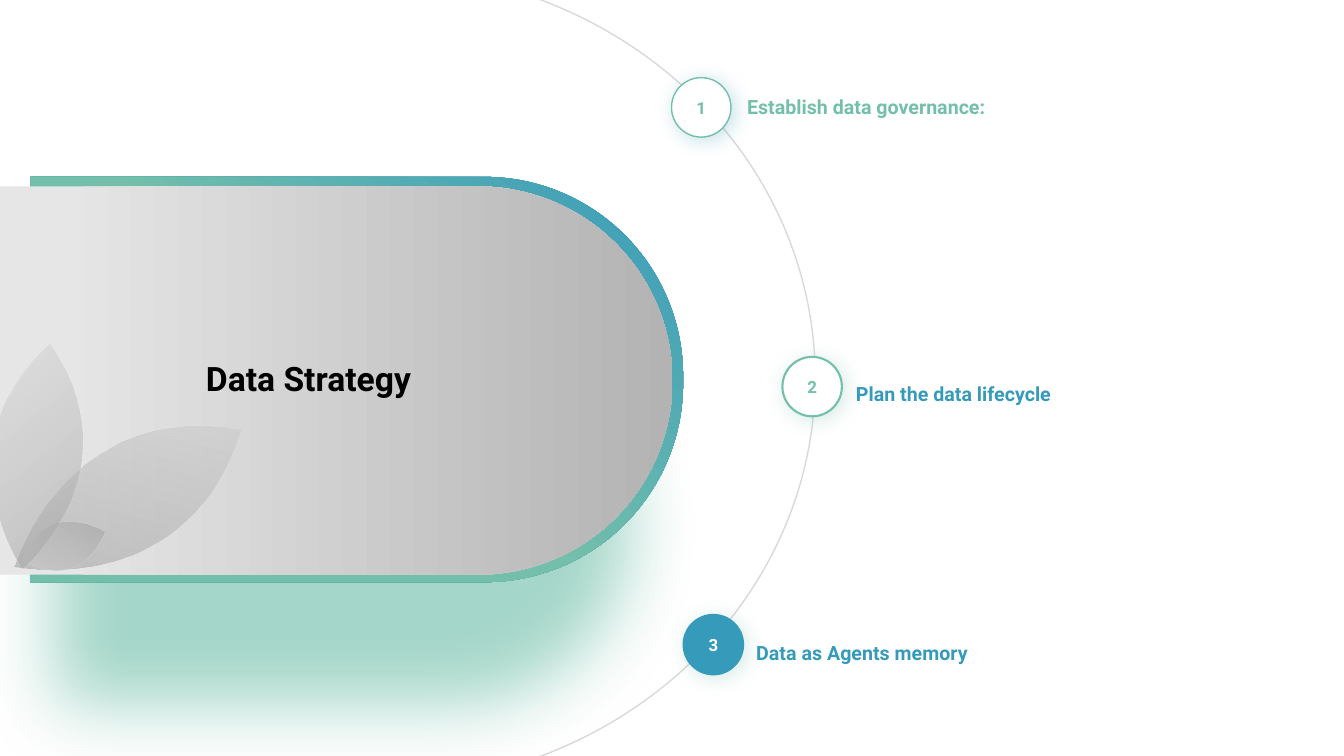
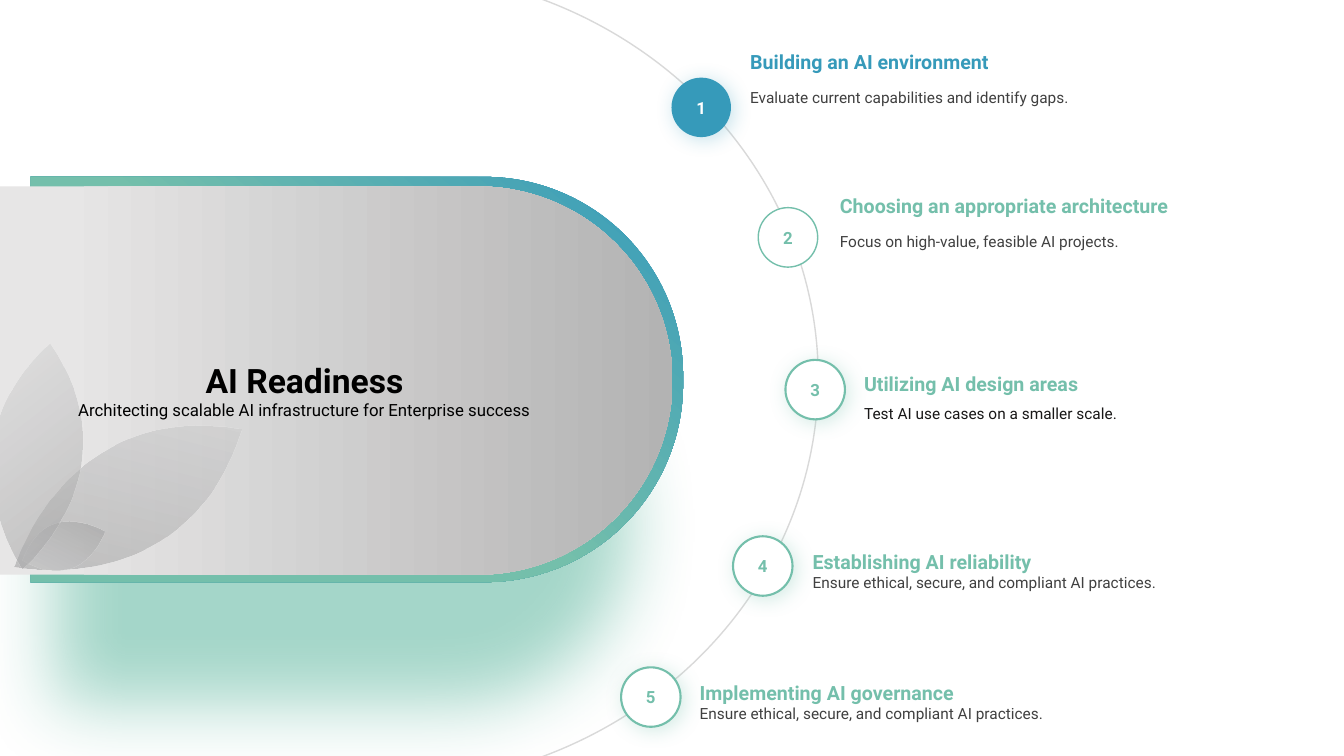
"""Build two agenda slides: a pill-shaped title hub with numbered steps along an arc."""
import math

import pptx
import pptx.dml.color
import pptx.enum.shapes
import pptx.enum.text
import pptx.oxml
import pptx.oxml.ns
import pptx.util

Inches, Pt = pptx.util.Inches, pptx.util.Pt
RGB = pptx.dml.color.RGBColor.from_string
Shape = pptx.enum.shapes.MSO_SHAPE
Text = pptx.enum.text
space = pptx.oxml.ns.nsdecls("a")

theme = {
    "font": "Roboto", "blue": "369ABA", "green": "74BFAB", "white": "FFFFFF",
    "black": "000000", "body": "404040", "ink": "181717", "track": "D9D9D9",
    "glow": "1D9A78", "pill": ("E7E6E6", "B3B3B3"), "leaf": ("9F9FA0", "D5D5D5"),
    "title": 24, "head": 14, "small": 11, "badge": 12, "sub": 12,
}
dot = 0.59
leaves = [
    ((0.75, 3.63, 1.04, 2.63), 238.9, (63, 58),
     [(0.14, 5.62), (0.14, 5.62), (0.64, 3.96), (2.4, 4.26),
      (1.88, 5.89), (0.31, 5.65), (0.14, 5.62)]),
    ((0.4, 4.98, 0.47, 0.86), 71.1, (69, 58),
     [(1.04, 5.27), (1.04, 5.27), (0.81, 5.9), (0.22, 5.55),
      (0.46, 4.94), (0.98, 5.24), (1.04, 5.27)]),
    ((-0.09, 3.4, 0.89, 2.25), 186.9, (58, 40),
     [(0.22, 5.64), (0.22, 5.64), (-0.63, 4.43), (0.49, 3.41),
      (1.32, 4.62), (0.33, 5.54), (0.22, 5.64)]),
]
pages = [
    {
        "arc": -0.31, "box": (1.03, 3.52, 4.06, 0.46),
        "title": ["Data Strategy"],
        "steps": [
            {"at": (6.66, 0.77), "line": 1, "glow": ("blue", 28), "tint": "green",
             "head": (7.35, 0.84, 5.1, "Establish data governance:")},
            {"at": (7.76, 3.54), "line": 1.5, "glow": ("green", 30), "tint": "blue",
             "head": (8.43, 3.68, 4.8, "Plan the data lifecycle")},
            {"at": (6.78, 6.1), "line": 1.5, "glow": ("green", 30), "tint": "blue",
             "solid": True, "head": (7.44, 6.25, 4.92, "Data as Agents memory")},
        ],
    },
    {
        "arc": -0.28, "box": (0.24, 3.54, 5.56, 0.66),
        "title": ["AI Readiness",
                  "Architecting scalable AI infrastructure for Enterprise success"],
        "steps": [
            {"at": (6.66, 0.77), "line": 0, "glow": ("blue", 28), "tint": "blue",
             "solid": True, "head": (7.38, 0.39, 4.5, "Building an AI environment"),
             "body": (0.81, 3.7, "Evaluate current capabilities and identify gaps.", "body")},
            {"at": (7.52, 2.06), "line": 1, "tint": "green",
             "head": (8.27, 1.82, 3.5, "Choosing an appropriate architecture"),
             "body": (2.24, 3.83, "Focus on high-value, feasible AI projects.", "body")},
            {"at": (7.79, 3.57), "line": 1.5, "glow": ("green", 30), "tint": "green",
             "head": (8.51, 3.58, 4.8, "Utilizing AI design areas"),
             "body": (3.95, 4.62, "Test AI use cases on a smaller scale.", "ink")},
            {"at": (7.27, 5.32), "line": 1.5, "glow": ("green", 30), "tint": "green",
             "head": (8, 5.35, 4.2, "Establishing AI reliability"),
             "body": (5.63, 4.8, "Ensure ethical, secure, and compliant AI practices.", "body")},
            {"at": (6.16, 6.62), "line": 1.5, "glow": ("green", 30), "tint": "green",
             "head": (6.88, 6.65, 4.2, "Implementing AI governance"),
             "body": (6.93, 4.8, "Ensure ethical, secure, and compliant AI practices.", "body")},
        ],
    },
]


def paint(shape, fill=None, line=None, width=0, glow=None, fade=None, angle=0):
    """Set fill, outline and shadow; fill is a colour or (colour, position) stops."""
    shape.shadow.inherit = False
    if fill is None:
        shape.fill.background()
    elif isinstance(fill, str):
        shape.fill.solid()
        shape.fill.fore_color.rgb = RGB(fill)
    else:
        shape.fill.gradient()
        shape.fill.gradient_angle = 360 - angle
        for stop, (tone, spot) in zip(shape.fill.gradient_stops, fill):
            stop.color.rgb = RGB(tone)
            stop.position = spot
    if fade:
        tones = shape.element.spPr.xpath("./a:gradFill/a:gsLst/a:gs/a:srgbClr")
        for tone, part in zip(tones, fade):
            tone.append(pptx.oxml.parse_xml(f'<a:alpha {space} val="{part * 1000}"/>'))
    if width:
        shape.line.color.rgb = RGB(line)
        shape.line.width = Pt(width)
    else:
        shape.line.fill.background()
    if glow:
        tone, part, blur, dist, turn, scale = glow
        shape.element.spPr.xpath("./a:effectLst")[0].append(pptx.oxml.parse_xml(
            f'<a:outerShdw {space} blurRad="{Pt(blur)}" dist="{Pt(dist)}" '
            f'dir="{turn * 60000}" sx="{scale * 1000}" sy="{scale * 1000}" '
            f'algn="b" rotWithShape="0"><a:srgbClr val="{tone}">'
            f'<a:alpha val="{part * 1000}"/></a:srgbClr></a:outerShdw>'))


def write(slide, spot, rows, inset, gap=None, align=None):
    """Add a text box whose rows are (text, size, colour, bold)."""
    frame = slide.shapes.add_textbox(*map(Inches, spot)).text_frame
    frame.word_wrap = True
    frame.auto_size = Text.MSO_AUTO_SIZE.SHAPE_TO_FIT_TEXT
    frame.margin_left = frame.margin_right = Inches(inset)
    frame.margin_top = frame.margin_bottom = Inches(inset)
    for index, (text, size, tone, bold) in enumerate(rows):
        para = frame.add_paragraph() if index else frame.paragraphs[0]
        para.text = text
        para.alignment = align
        para.line_spacing = gap
        para.font.name = theme["font"]
        para.font.size = Pt(size)
        para.font.bold = bold
        para.font.color.rgb = RGB(tone)


deck = pptx.Presentation()
deck.slide_width, deck.slide_height = Inches(13.33), Inches(7.5)

for page in pages:
    slide = deck.slides.add_slide(deck.slide_layouts[6])
    shapes = slide.shapes

    rim = shapes.add_shape(Shape.ROUND_2_SAME_RECTANGLE,
                           *map(Inches, (1.53, 0.53, 4.02, 6.47)))
    rim.rotation = 270
    rim.adjustments[0], rim.adjustments[1] = 0, 0.49
    paint(rim, [(theme["blue"], 0), (theme["green"], 0.51)],
          glow=(theme["glow"], 40, 54, 31, 90, 88), angle=220)

    arc = shapes.add_shape(Shape.ARC, *map(Inches, (page["arc"], -0.6, 8.09, 8.7)))
    arc.rotation = 90
    arc.adjustments[0], arc.adjustments[1] = 121.95, 202.13
    paint(arc, line=theme["track"], width=1)

    for number, step in enumerate(page["steps"], 1):
        solid = step.get("solid", False)
        edge = theme["blue" if solid else "green"]
        glow = None
        if "glow" in step:
            tone, part = step["glow"]
            glow = (theme[tone], part, 14, 3, 45, 100)
        badge = shapes.add_shape(Shape.OVAL, *map(Inches, (*step["at"], dot, dot)))
        paint(badge, edge if solid else theme["white"], edge, step["line"], glow)
        badge.text_frame.vertical_anchor = Text.MSO_ANCHOR.MIDDLE
        para = badge.text_frame.paragraphs[0]
        para.text = str(number)
        para.alignment = Text.PP_ALIGN.CENTER
        para.font.name = theme["font"]
        para.font.size = Pt(theme["badge"])
        para.font.bold = True
        para.font.color.rgb = RGB(theme["white"] if solid else edge)

        left, top, width, text = step["head"]
        write(slide, (left, top, width, 0.37),
              [(text, theme["head"], theme[step["tint"]], True)], 0.06, 1.2)
        if "body" in step:
            top, width, text, tone = step["body"]
            write(slide, (left, top, width, 0.29),
                  [(text, theme["small"], theme[tone], False)], 0.06, Pt(13.2))

    pill = shapes.add_shape(Shape.ROUND_2_SAME_RECTANGLE,
                            *map(Inches, (1.41, 0.44, 3.85, 6.67)))
    pill.rotation = 270
    pill.adjustments[0], pill.adjustments[1] = 0, 0.5
    paint(pill, list(zip(theme["pill"], (0.09, 1))), angle=90)

    for (left, top, width, height), turn, fade, knots in leaves:
        cos, sin = math.cos(math.radians(turn)), math.sin(math.radians(turn))
        points = []
        for x, y in knots:
            x, y = x - left - width / 2, y - top - height / 2
            points.append((Inches(x * cos + y * sin + left + width / 2),
                           Inches(y * cos - x * sin + top + height / 2)))
        form = shapes.build_freeform(*points[0])
        form.add_line_segments(points[1:], close=True)
        leaf = form.convert_to_shape()
        shift = leaf.left - Inches(left), leaf.top - Inches(top)
        leaf.left, leaf.top = Inches(left), Inches(top)
        leaf.width, leaf.height = Inches(width), Inches(height)
        leaf.rotation = turn

        track = leaf.element.spPr.xpath(".//a:path")[0]
        track.set("w", str(leaf.width))
        track.set("h", str(leaf.height))
        for point in track.xpath(".//a:pt"):
            for axis, move in zip("xy", shift):
                point.set(axis, str(int(point.get(axis)) + move))
        lines = track.xpath("./a:lnTo")
        for first in (0, 3):
            curve = pptx.oxml.parse_xml(f"<a:cubicBezTo {space}/>")
            lines[first].addprevious(curve)
            for line in lines[first:first + 3]:
                curve.append(line[0])
                track.remove(line)
        paint(leaf, list(zip(theme["leaf"], (0, 1))), fade=fade, angle=45)

    looks = [(theme["title"], theme["black"], True), (theme["sub"], theme["black"], False)]
    rows = [(text, *look) for text, look in zip(page["title"], looks)]
    write(slide, page["box"], rows, 0.03, align=Text.PP_ALIGN.CENTER)

deck.save("out.pptx")
